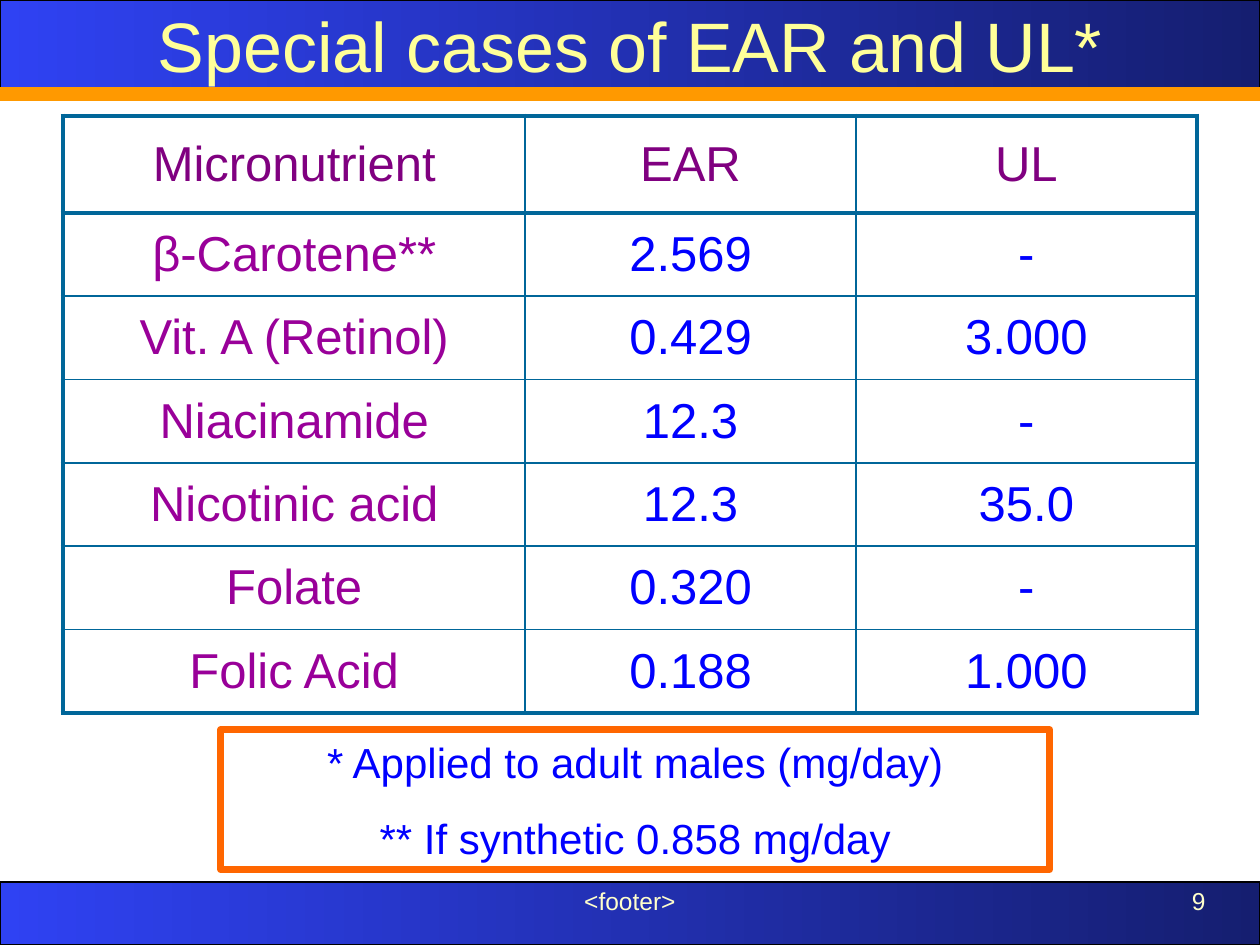
import pptx
import pptx.chart.data
import pptx.dml.color
import pptx.enum.shapes
import pptx.enum.text
import pptx.oxml
import pptx.oxml.ns
import pptx.util
from pptx.util import Cm

ALIGN = pptx.enum.text.PP_ALIGN
ANCHOR = pptx.enum.text.MSO_ANCHOR
RECTANGLE = pptx.enum.shapes.MSO_SHAPE.RECTANGLE
PAGE_WIDTH, PAGE_HEIGHT = 25.4, 19.05
ROWS = [
    ("Micronutrient", "EAR", "UL"),
    ("β-Carotene**", "2.569", "-"),
    ("Vit. A (Retinol)", "0.429", "3.000"),
    ("Niacinamide", "12.3", "-"),
    ("Nicotinic acid", "12.3", "35.0"),
    ("Folate", "0.320", "-"),
    ("Folic Acid", "0.188", "1.000"),
]
COLUMN_WIDTHS = (9.32, 6.66, 6.88)
HEADER_HEIGHT, ROW_HEIGHT = 1.95, 1.68
OUTER, HEADER_RULE, INNER = 3, 2.21, 1.08


def colour(value):
    """Turn a hex string into a colour."""
    return pptx.dml.color.RGBColor.from_string(value)


def apply(target, formats):
    """Set attributes from a dict of format values."""
    for name, value in formats.items():
        setattr(target, name, value)


def write(frame, lines, size, hue, align=ALIGN.CENTER, gap=0, **formats):
    """Fill a text frame with formatted paragraphs."""
    apply(frame, {"word_wrap": True, **formats})
    for index, line in enumerate(lines):
        para = frame.add_paragraph() if index else frame.paragraphs[0]
        apply(para, {"alignment": align, "space_before": pptx.util.Pt(gap if index else 0)})
        span = para.add_run()
        span.text = line
        apply(span.font, {"name": "Arial", "size": pptx.util.Pt(size)})
        span.font.color.rgb = colour(hue)


def add_rectangle(page, place, line, width):
    """Add an unfilled, outlined rectangle."""
    box = page.shapes.add_shape(RECTANGLE, *map(Cm, place))
    box.shadow.inherit = False
    box.fill.background()
    box.line.color.rgb = colour(line)
    box.line.width = pptx.util.Pt(width)
    return box


def add_band(page, top, height):
    """Add a full-width blue gradient band."""
    band = add_rectangle(page, (0, top, PAGE_WIDTH, height), "000000", 0.75)
    band.fill.gradient()
    band.fill.gradient_angle = 180
    for stop, hue, position in zip(band.fill.gradient_stops, ("151E70", "2F42F3"), (0, 1)):
        stop.color.rgb = colour(hue)
        stop.position = position


def add_rule(page, top):
    """Add the orange rule below the title band."""
    kind = pptx.enum.shapes.MSO_CONNECTOR.STRAIGHT
    rule = page.shapes.add_connector(kind, 0, Cm(top), Cm(PAGE_WIDTH), Cm(top))
    rule.line.color.rgb = colour("FF9900")
    rule.line.width = pptx.util.Pt(8)
    rule._element.spPr.append(pptx.oxml.parse_xml(
        f'<a:effectLst {pptx.oxml.ns.nsdecls("a")}/>'))


def add_label(page, text, place, align):
    """Add a small text label to the footer band."""
    box = page.shapes.add_textbox(*map(Cm, place))
    write(box.text_frame, [text], 14, "FFFFCC", align)


def add_title(page, text):
    """Place the title in front of its band."""
    title = page.shapes.title
    title._element.getparent().append(title._element)
    apply(title, {"left": Cm(0), "top": Cm(-0.2), "width": Cm(PAGE_WIDTH), "height": Cm(1.47)})
    write(title.text_frame, [text], 40, "FFFF99", vertical_anchor=ANCHOR.TOP,
          margin_top=Cm(0.25), auto_size=pptx.enum.text.MSO_AUTO_SIZE.NONE)


def set_borders(cell, widths):
    """Draw the left, right, top and bottom borders of a cell."""
    properties = cell._tc.get_or_add_tcPr()
    for index, (side, width) in enumerate(zip("LRTB", widths)):
        properties.insert(index, pptx.oxml.parse_xml(
            f'<a:ln{side} {pptx.oxml.ns.nsdecls("a")} w="{pptx.util.Pt(width)}">'
            f'<a:solidFill><a:srgbClr val="006699"/></a:solidFill></a:ln{side}>'))


def add_nutrient_table(page):
    """Add the table of micronutrient values."""
    last_row, last_column = len(ROWS) - 1, len(COLUMN_WIDTHS) - 1
    height = HEADER_HEIGHT + last_row * ROW_HEIGHT
    table = page.shapes.add_table(len(ROWS), len(COLUMN_WIDTHS), Cm(1.27), Cm(2.34),
                                  Cm(sum(COLUMN_WIDTHS)), Cm(height)).table
    apply(table, {"first_row": False, "horz_banding": False})
    for column, width in zip(table.columns, COLUMN_WIDTHS):
        column.width = Cm(width)
    rules = [OUTER, HEADER_RULE] + [INNER] * (last_row - 1) + [OUTER]
    for r, texts in enumerate(ROWS):
        table.rows[r].height = Cm(ROW_HEIGHT if r else HEADER_HEIGHT)
        for c, text in enumerate(texts):
            cell = table.cell(r, c)
            cell.vertical_anchor = ANCHOR.MIDDLE
            cell.fill.background()
            hue = "800080" if r == 0 else "990099" if c == 0 else "0000FF"
            write(cell.text_frame, [text], 28, hue)
            set_borders(cell, (INNER if c else OUTER, OUTER if c == last_column else INNER,
                               rules[r], rules[r + 1]))


def add_footnotes(page):
    """Add the orange box with the two footnotes."""
    box = add_rectangle(page, (4.45, 14.71, 16.71, 2.82), "FF6600", 4)
    lines = ["* Applied to adult males (mg/day)", "** If synthetic 0.858 mg/day"]
    write(box.text_frame, lines, 24, "0000FF", gap=15, vertical_anchor=ANCHOR.MIDDLE)


def main():
    """Build and save the slide."""
    deck = pptx.Presentation()
    apply(deck, {"slide_width": Cm(PAGE_WIDTH), "slide_height": Cm(PAGE_HEIGHT)})
    page = deck.slides.add_slide(deck.slide_layouts.get_by_name("Title Only"))
    add_band(page, 0, 1.9)
    add_rule(page, 1.9)
    add_band(page, 17.78, 1.27)
    add_label(page, "<footer>", (8.68, 17.73, 8.04, 1.32), ALIGN.CENTER)
    add_label(page, "9", (18.62, 17.73, 5.93, 1.32), ALIGN.RIGHT)
    add_title(page, "Special cases of EAR and UL*")
    add_nutrient_table(page)
    add_footnotes(page)
    deck.save("out.pptx")


if __name__ == "__main__":
    main()
